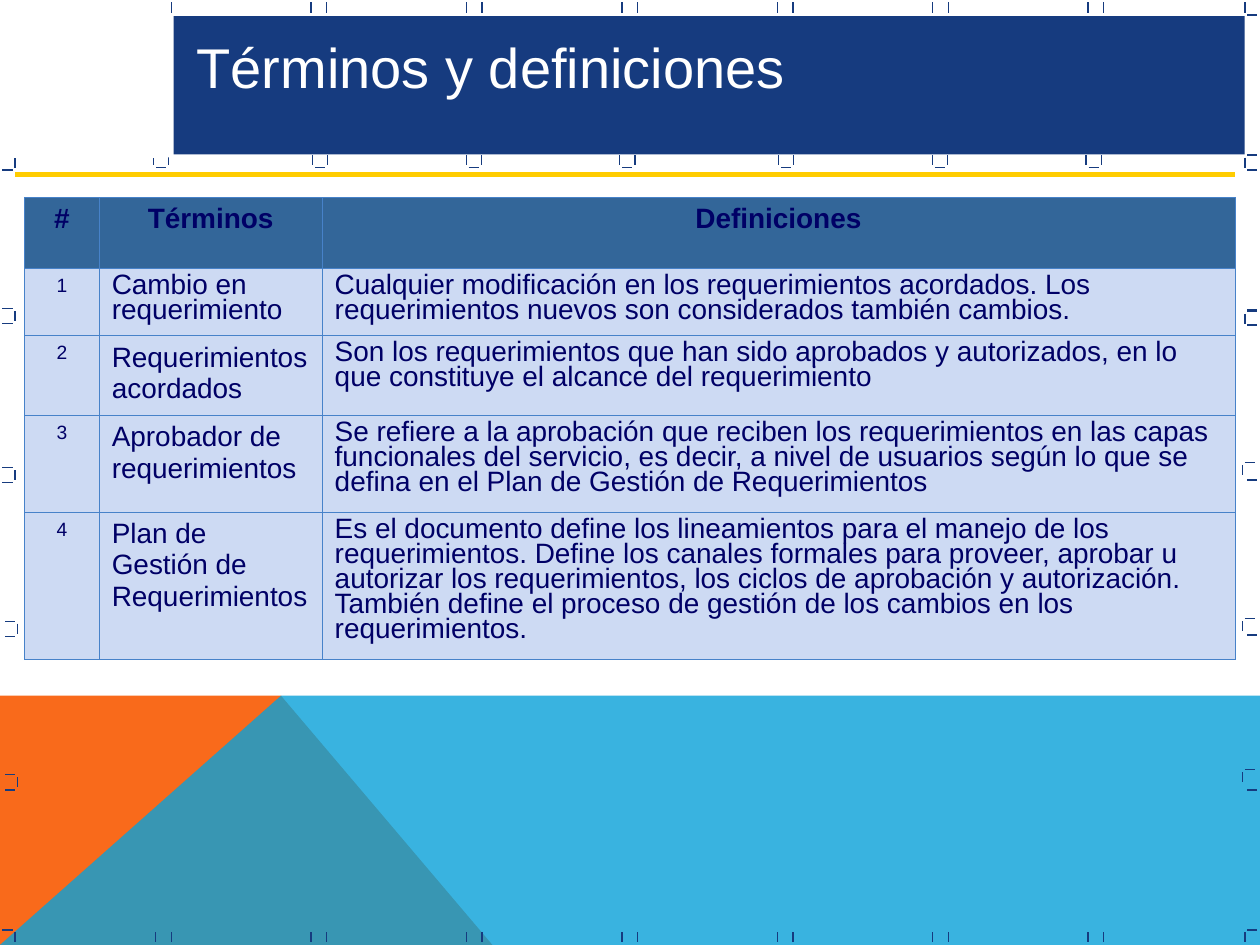
from typing import NamedTuple, Optional

from lxml import etree
from pptx import Presentation
from pptx.dml.color import RGBColor
from pptx.enum.shapes import MSO_CONNECTOR, MSO_SHAPE
from pptx.enum.text import PP_ALIGN
from pptx.oxml.ns import qn
from pptx.util import Pt

STRAIGHT = MSO_CONNECTOR.STRAIGHT
RECTANGLE = MSO_SHAPE.RECTANGLE
LEFT, CENTER = PP_ALIGN.LEFT, PP_ALIGN.CENTER

FONT = "Arial"
NAVY, WHITE, YELLOW = "163B7F", "FFFFFF", "FFCC00"
ORANGE, BLUE = "F96A1B", "08A1D9"
TEXT, HEADER_FILL, BODY_FILL, BORDER = "000066", "336699", "CDDAF3", "4782C9"

TICK, GAP = 5.76, 1.44      # length of a mark, and its distance from a corner


class SideMark(NamedTuple):
    """An upright tick with level caps beside it."""
    x: float
    top: float
    caps: tuple             # (left, y) of each cap


class Style(NamedTuple):
    """Paragraph and font settings of a table cell."""
    size: float = 16
    bold: bool = False
    align: PP_ALIGN = LEFT
    before: float = 4
    after: float = 0
    spacing: Optional[float] = None


class Term(NamedTuple):
    name: str
    definition: str
    name_style: Style
    definition_style: Style


HEADING = Style(bold=True, align=CENTER)
NUMBER = Style(size=11, align=CENTER, before=2.8)
PLAIN = Style()
TIGHT = Style(spacing=0.8)
TIGHT_SPACED = Style(spacing=0.8, after=4)

TERMS = [
    Term("Cambio en requerimiento",
         "Cualquier modificación en los requerimientos acordados. Los "
         "requerimientos nuevos son considerados también cambios.",
         TIGHT_SPACED, TIGHT_SPACED),
    Term("Requerimientos acordados",
         "Son los requerimientos que han sido aprobados y autorizados, en lo "
         "que constituye el alcance del requerimiento",
         PLAIN, TIGHT),
    Term("Aprobador de requerimientos",
         "Se refiere a la aprobación que reciben los requerimientos en las capas "
         "funcionales del servicio, es decir, a nivel de usuarios según lo que se "
         "defina en el Plan de Gestión de Requerimientos",
         PLAIN, TIGHT_SPACED),
    Term("Plan de Gestión de Requerimientos",
         "Es el documento define los lineamientos para el manejo de los "
         "requerimientos. Define los canales formales para proveer, aprobar u "
         "autorizar los requerimientos, los ciclos de aprobación y autorización. "
         "También define el proceso de gestión de los cambios en los requerimientos.",
         PLAIN, TIGHT),
]
COLUMN_WIDTHS = [42.7, 127.4, 521.6]
ROW_HEIGHTS = [40.8, 38.2, 45.4, 55.4, 84.2]

# Left marks have caps above and below; right marks are less regular
LEFT_STEMS = [(8.64, 90), (8.64, 177.8), (8.64, 268.6), (10.08, 356.4), (10.08, 444.2)]
SIDE_MARKS = [
    SideMark(x, top, ((x - 7.2, top - GAP), (x - 7.2, top + TICK + GAP)))
    for x, top in LEFT_STEMS
] + [
    SideMark(8.64, 532.8, ((1.44, 531.4),)),
    SideMark(711.4, 1.44, ((712.8, 8.64),)),
    SideMark(711.4, 90, ((712.8, 88.6), (712.8, 97.2))),
    SideMark(711.4, 179.3, ((712.8, 177.1), (712.8, 177.8), (712.8, 185.8))),
    SideMark(709.9, 265.7, ((711.4, 264.2), (712.8, 274.3))),
    SideMark(709.9, 355, ((711.4, 353.5), (712.8, 362.9))),
    SideMark(709.9, 441.4, ((711.4, 439.9), (712.8, 451.4))),
    SideMark(711.4, 532.8, ((712.8, 531.4),)),
]
BRACKET_LEFTS = [87.8, 178.6, 266.4, 354.2, 445, 532.8, 620.6]


def rgb(value: str) -> RGBColor:
    return RGBColor.from_string(value)


def draw_line(shapes, x1: float, y1: float, x2: float, y2: float,
              color: str = NAVY, width: float = 0.75) -> None:
    line = shapes.add_connector(STRAIGHT, Pt(x1), Pt(y1), Pt(x2), Pt(y2))
    line.line.color.rgb = rgb(color)
    line.line.width = Pt(width)
    etree.SubElement(line._element.spPr, qn("a:effectLst"))


def draw_upright(shapes, x: float, top: float) -> None:
    draw_line(shapes, x, top, x, top + TICK)


def draw_level(shapes, left: float, y: float) -> None:
    draw_line(shapes, left, y, left + TICK, y)


def paint(shape, fill: str, alpha: Optional[int] = None) -> None:
    shape.shadow.inherit = False
    shape.fill.solid()
    shape.fill.fore_color.rgb = rgb(fill)
    shape.line.fill.background()
    if alpha is not None:
        color = shape._element.spPr.find(qn("a:solidFill"))[0]
        etree.SubElement(color, qn("a:alpha"), val=str(alpha * 1000))


def draw_polygon(shapes, points: list, fill: str, alpha: Optional[int] = None) -> None:
    corners = [(Pt(x), Pt(y)) for x, y in points]
    builder = shapes.build_freeform(*corners[0], scale=1.0)
    builder.add_line_segments(corners[1:], close=True)
    paint(builder.convert_to_shape(), fill, alpha)


def draw_box(shapes, left: float, top: float, width: float, height: float, fill: str):
    box = shapes.add_shape(RECTANGLE, Pt(left), Pt(top), Pt(width), Pt(height))
    paint(box, fill)
    return box


def add_run(paragraph, text: str, size: float, color: str, bold: bool = False) -> None:
    run = paragraph.add_run()
    run.text = text
    run.font.name, run.font.size, run.font.bold = FONT, Pt(size), bold
    run.font.color.rgb = rgb(color)


def fill_cell(cell, text: str, style: Style, fill: str) -> None:
    properties = cell._tc.get_or_add_tcPr()
    for side in ("lnL", "lnR", "lnT", "lnB"):
        edge = etree.SubElement(properties, qn(f"a:{side}"), w=str(Pt(0.45)))
        solid = etree.SubElement(edge, qn("a:solidFill"))
        etree.SubElement(solid, qn("a:srgbClr"), val=BORDER)
    cell.fill.solid()
    cell.fill.fore_color.rgb = rgb(fill)
    paragraph = cell.text_frame.paragraphs[0]
    paragraph.alignment = style.align
    paragraph.space_before, paragraph.space_after = Pt(style.before), Pt(style.after)
    paragraph.line_spacing = style.spacing
    add_run(paragraph, text, style.size, TEXT, style.bold)


def draw_crop_marks(shapes) -> None:
    # Pairs along the top and bottom edges
    for i in range(7):
        x = 97.9 + 88.8 * i
        for top in (1.44, 532.8):
            draw_upright(shapes, x, top)
            if i or top > 100:
                draw_upright(shapes, x - 8.9, top)
    # Ticks and caps on both sides
    for mark in SIDE_MARKS:
        draw_upright(shapes, mark.x, mark.top)
        for left, y in mark.caps:
            draw_level(shapes, left, y)
    # Brackets under the title band
    for left in BRACKET_LEFTS:
        draw_upright(shapes, left, 88.6)
        draw_upright(shapes, left + TICK + 2 * GAP, 88.6)
        draw_level(shapes, left + GAP, 95.8)


def draw_terms_table(shapes) -> None:
    table = shapes.add_table(len(ROW_HEIGHTS), len(COLUMN_WIDTHS), Pt(14), Pt(112.8),
                             Pt(sum(COLUMN_WIDTHS)), Pt(sum(ROW_HEIGHTS))).table
    table.first_row = table.horz_banding = False
    for column, width in zip(table.columns, COLUMN_WIDTHS):
        column.width = Pt(width)
    for row, height in zip(table.rows, ROW_HEIGHTS):
        row.height = Pt(height)
    for j, heading in enumerate(("#", "Términos", "Definiciones")):
        fill_cell(table.cell(0, j), heading, HEADING, HEADER_FILL)
    for i, term in enumerate(TERMS, start=1):
        fill_cell(table.cell(i, 0), str(i), NUMBER, BODY_FILL)
        fill_cell(table.cell(i, 1), term.name, term.name_style, BODY_FILL)
        fill_cell(table.cell(i, 2), term.definition, term.definition_style, BODY_FILL)


def main() -> None:
    deck = Presentation()
    deck.slide_width, deck.slide_height = Pt(720), Pt(540)
    shapes = deck.slides.add_slide(deck.slide_layouts[6]).shapes

    # Coloured foot of the page
    draw_polygon(shapes, [(0, 540), (0, 397.6), (160.6, 397.6), (281.4, 540)], ORANGE)
    draw_polygon(shapes, [(0, 540), (160.6, 397.6), (720, 397.6), (720, 540)], BLUE, 80)

    # Title band, crop marks and white corner
    draw_box(shapes, 99.2, 9.2, 612, 79, NAVY)
    draw_crop_marks(shapes)
    corner = draw_box(shapes, 0, -0.5, 95.8, 89.8, WHITE)
    corner.line.color.rgb = rgb(WHITE)
    corner.line.width = Pt(2)

    # Title and rule
    title = shapes.add_textbox(Pt(105.3), Pt(15.1), Pt(360), Pt(46)).text_frame
    title.word_wrap = True
    add_run(title.paragraphs[0], "Términos y definiciones", 32, WHITE)
    draw_line(shapes, 8.6, 99.8, 705.6, 99.8, YELLOW, 3)

    draw_terms_table(shapes)
    deck.save("out.pptx")


if __name__ == "__main__":
    main()
